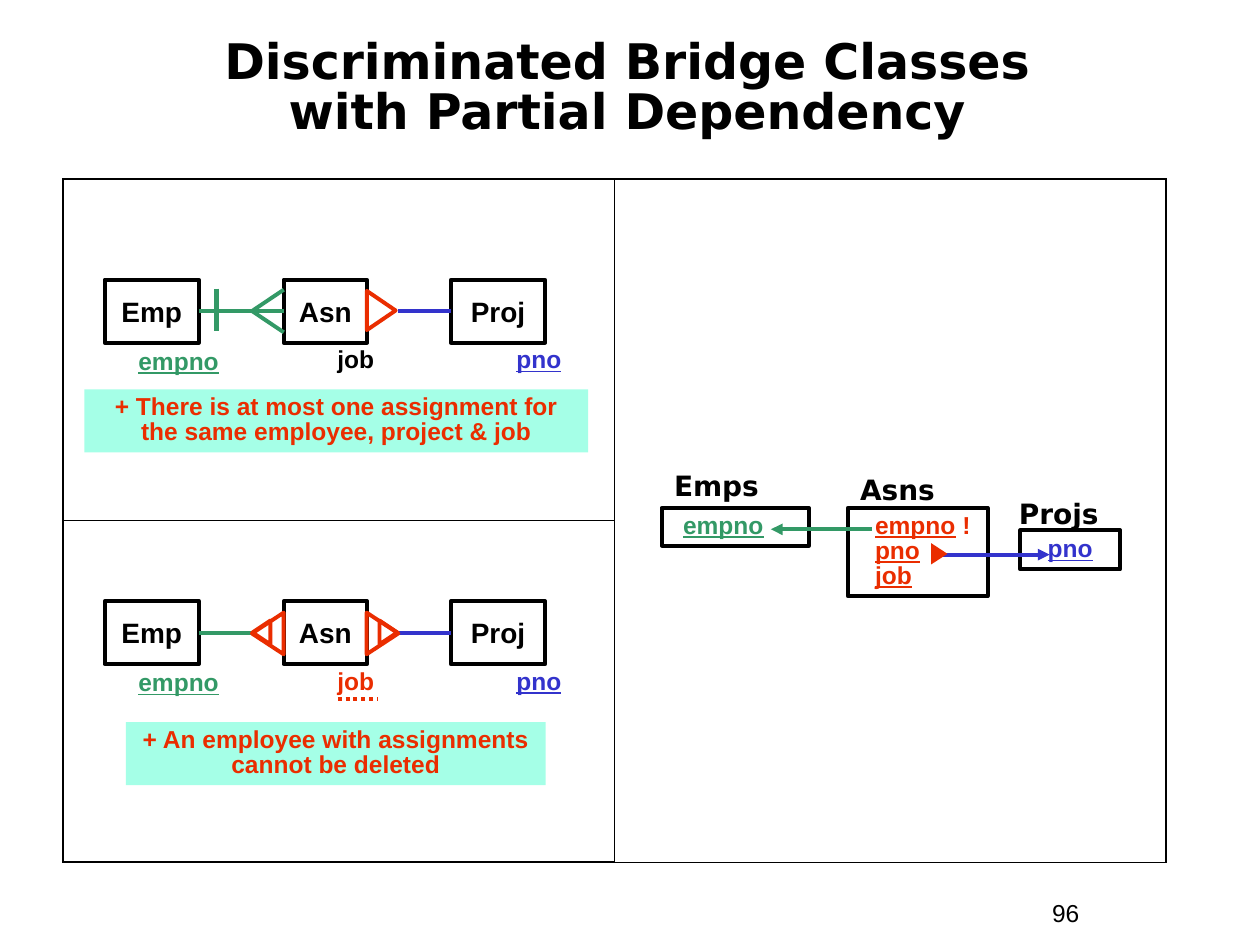
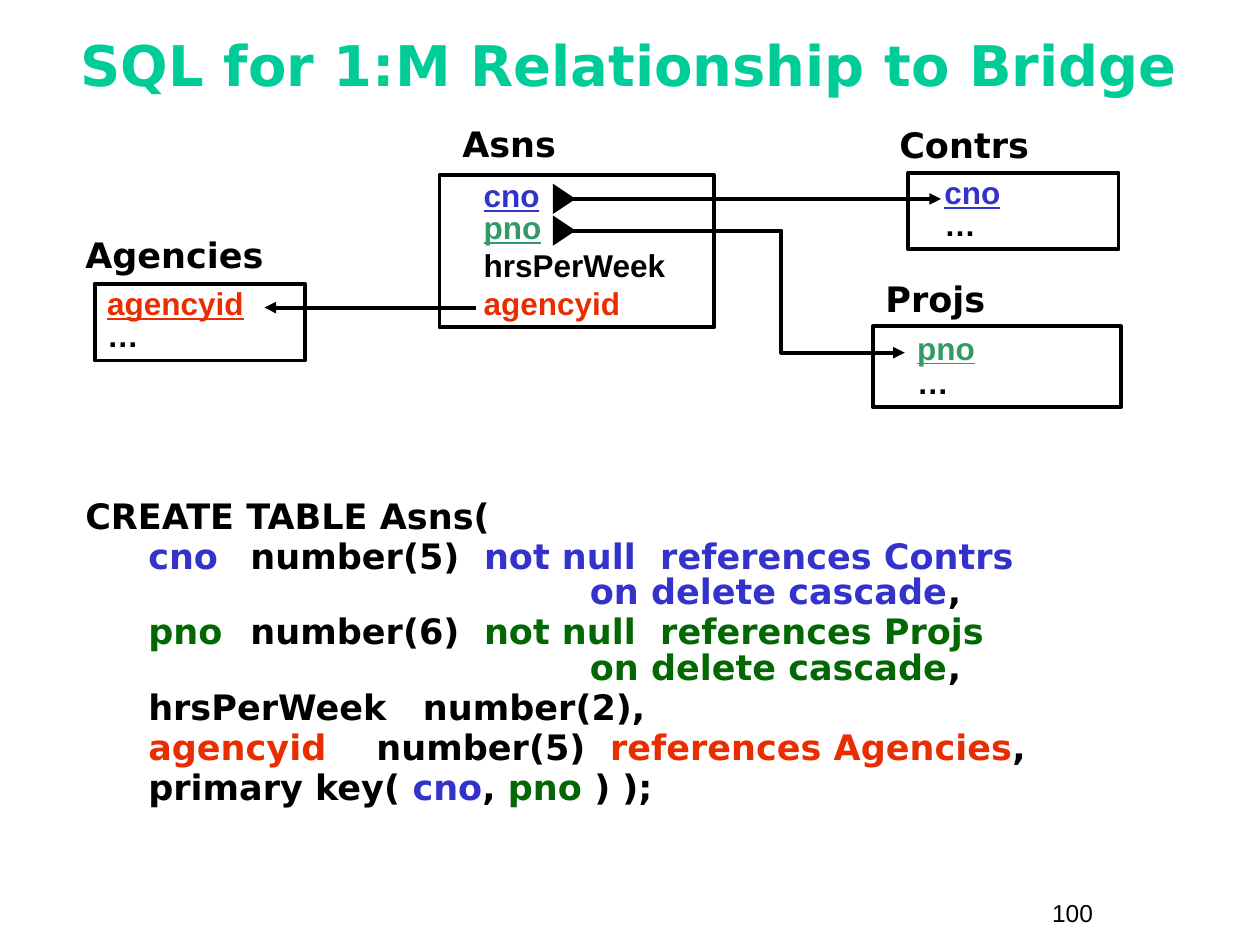
from lxml.etree import SubElement
from pptx import Presentation
from pptx.dml.color import RGBColor
from pptx.enum.dml import MSO_LINE
from pptx.enum.shapes import MSO_CONNECTOR as LINK, MSO_SHAPE as SHAPE
from pptx.enum.text import MSO_ANCHOR as ANCHOR, PP_ALIGN as ALIGN
from pptx.oxml.ns import qn
from pptx.util import Cm, Pt

rgb = RGBColor.from_string
BLACK, RED, GREEN, BLUE = "000000", "EA2D00", "339966", "3333CC"
DARK_GREEN, TEAL, MINT = "036703", "00CC99", "A5FFE7"
SANS, HEAD = "Arial", "DejaVu Sans"


def style(shape, text="", size=14, font=SANS, color=BLACK, bold=True, underline=False,
          align=ALIGN.LEFT, anchor=ANCHOR.TOP, spacing=1.0, before=0, indent=0,
          fill=None, outline=None, wrap=True):
    """Format a shape and its text: a string, or paragraphs of (text, color, underline) runs."""
    shape.shadow.inherit = False
    if fill:
        shape.fill.solid()
        shape.fill.fore_color.rgb = rgb(fill)
    else:
        shape.fill.background()
    if outline:
        shape.line.color.rgb = rgb(outline)
        shape.line.width = Pt(2.25)
    else:
        shape.line.fill.background()
    tf = shape.text_frame
    tf.word_wrap = wrap
    tf.vertical_anchor = anchor
    tf.margin_left, tf.margin_right = Cm(0.25 + indent), Cm(0.25)
    tf.margin_top = tf.margin_bottom = Cm(0.13)
    paragraphs = [[(text, color, underline)]] if isinstance(text, str) else text
    for i, runs in enumerate(paragraphs):
        p = tf.add_paragraph() if i else tf.paragraphs[0]
        p.alignment = align
        p.line_spacing = spacing
        p.space_before = Pt(before if i else 0)
        for run_text, run_color, run_underline in runs:
            for j, part in enumerate(run_text.split("\n")):
                if j:
                    p.add_line_break()
                    SubElement(p._p[-1], qn("a:rPr"), sz=str(size * 100))
                if not part:
                    continue
                r = p.add_run()
                r.text = part
                r.font.name, r.font.size, r.font.bold = font, Pt(size), bold
                r.font.underline = run_underline
                r.font.color.rgb = rgb(run_color)
    return shape


def connect(s, x1, y1, x2, y2, color=BLACK, width=2.25, arrow=False, kind=LINK.STRAIGHT):
    c = s.shapes.add_connector(kind, Cm(x1), Cm(y1), Cm(x2), Cm(y2))
    c.line.color.rgb = rgb(color)
    c.line.width = Pt(width)
    if arrow:
        SubElement(c.line._get_or_add_ln(), qn("a:tailEnd"), type="triangle")
    SubElement(c._element.spPr, qn("a:effectLst"))
    return c


prs = Presentation()
prs.slide_width, prs.slide_height = Cm(25.4), Cm(19.05)

# Titles and page numbers
slides = []
for title, at, size, color, spacing, number in (
    ("Discriminated Bridge Classes\nwith Partial Dependency",
     (0.74, 0.64, 23.8, 2.34), 28, BLACK, 0.85, "96"),
    ("SQL for 1:M Relationship to Bridge", (0.84, 0.23, 23.7, 2.11), 32, TEAL, 1.0, "100"),
):
    s = prs.slides.add_slide(prs.slide_layouts[5])
    t = s.shapes.title
    t.left, t.top, t.width, t.height = map(Cm, at)
    style(t, title, size=size, font=HEAD, color=color, spacing=spacing,
          align=ALIGN.CENTER, anchor=ANCHOR.MIDDLE)
    style(s.shapes.add_textbox(Cm(20.96), Cm(17.98), Cm(2.34), Cm(0.86)), number, bold=False)
    slides.append(s)
bridge, sql = slides

# Frame: two cells on the left, one tall cell on the right
frame = bridge.shapes.add_table(2, 2, Cm(1.27), Cm(3.61), Cm(22.23), Cm(13.77)).table
frame.first_row = frame.horz_banding = False
for row in range(2):
    for col in range(2):
        cell = frame.cell(row, col)
        tcPr = cell._tc.get_or_add_tcPr()
        for side, outer in (("L", col == 0), ("R", col == 1), ("T", row == 0), ("B", row == 1)):
            ln = SubElement(tcPr, qn(f"a:ln{side}"), w=str(Pt(1.08 if outer else 0.45)))
            SubElement(SubElement(ln, qn("a:solidFill")), qn("a:srgbClr"), val=BLACK)
        cell.fill.background()
frame.cell(0, 1).merge(frame.cell(1, 1))

# Emp - Asn - Proj diagrams
for top, asn_end, proj_end, job_color, note, note_x, note_dy, note_w in (
    (5.64, 5.72, 8.03, BLACK,
     "+ There is at most one assignment for the same employee, project & job", 1.7, 2.21, 10.16),
    (12.12, 5.08, 8.05, RED,
     "+ An employee with assignments cannot be deleted", 2.54, 2.44, 8.46),
):
    mid = top + 0.635
    emp, asn, proj = [
        style(bridge.shapes.add_shape(SHAPE.RECTANGLE, Cm(x), Cm(top), Cm(w), Cm(1.27)), name,
              size=16, align=ALIGN.CENTER, anchor=ANCHOR.MIDDLE, outline=BLACK, wrap=False)
        for name, x, w in (("Emp", 2.11, 1.9), ("Asn", 5.72, 1.68), ("Proj", 9.09, 1.9))]
    emp_line = connect(bridge, 4.01, mid, asn_end, mid, GREEN)
    emp_line.begin_connect(emp, 3)
    if asn_end == 5.72:
        emp_line.end_connect(asn, 1)
    connect(bridge, 9.09, mid, proj_end, mid, BLUE).begin_connect(proj, 1)
    for key, x, w, dy, color in (("empno", 2.54, 2.97, 1.27, GREEN),
                                 ("job", 6.55, 1.9, 1.24, job_color),
                                 ("pno", 10.16, 1.9, 1.24, BLUE)):
        style(bridge.shapes.add_textbox(Cm(x), Cm(top + dy), Cm(w), Cm(0.79)), key,
              color=color, underline=key != "job", spacing=0.9)
    style(bridge.shapes.add_shape(SHAPE.RECTANGLE, Cm(note_x), Cm(top + note_dy),
                                  Cm(note_w), Cm(1.27)),
          note, color=RED, align=ALIGN.CENTER, spacing=0.85, fill=MINT)

# Crow's foot, bar and dotted underline
for dy in (-0.43, 0.43):
    connect(bridge, 5.08, 6.27, 5.72, 6.27 + dy, GREEN)
connect(bridge, 4.37, 5.82, 4.37, 6.68, GREEN, width=3)
connect(bridge, 6.81, 14.1, 7.62, 14.1, RED).line.dash_style = MSO_LINE.ROUND_DOT

# Class tables: a name above a box of fields
DOTS = ("…", BLACK, False)
for s, name, name_at, box_at, indent, spacing, fields in (
    (bridge, "Asns", (17.09, 9.4, 3.66, 0.94), (17.09, 10.24, 2.82, 1.78), 0.3, 0.85,
     [[("empno", RED, True), (" !", RED, False)], [("pno", RED, True)], [("job", RED, True)]]),
    (bridge, "Projs", (20.29, 9.88, 2.92, 0.94), (20.57, 10.69, 2.01, 0.79), 0.3, 0.9,
     [[("pno", BLUE, True)]]),
    (bridge, "Emps", (13.34, 9.32, 2.34, 0.94), (13.34, 10.24, 2.97, 0.76), 0.18, 0.85,
     [[("empno", GREEN, True)]]),
    (sql, "Agencies", (1.47, 4.57, 5.46, 1.12), (1.91, 5.72, 4.24, 1.55), 0, 0.85,
     [[("agencyid\n", RED, True), DOTS]]),
    (sql, "Projs", (17.6, 5.46, 5.46, 1.12), (17.6, 6.58, 5, 1.63), 0.64, 0.9,
     [[("pno", GREEN, True)], [DOTS]]),
    (sql, "Contrs", (17.88, 2.36, 5.46, 1.12), (18.31, 3.48, 4.24, 1.55), 0.48, 0.85,
     [[("cno\n", BLUE, True), DOTS]]),
    (sql, "Asns", (9.07, 2.34, 6.38, 1.12), (8.86, 3.53, 5.54, 3.07), 0.64, 0.85,
     [[("cno", BLUE, True)], [("pno", GREEN, True)],
      [("hrsPerWeek\n", BLACK, False), ("agencyid", RED, False)]]),
):
    size = 14 if s is bridge else 18
    style(s.shapes.add_textbox(*map(Cm, name_at)), name, size=size + 2, font=HEAD)
    box = style(s.shapes.add_shape(SHAPE.RECTANGLE, *map(Cm, box_at)), fields, size=size,
                spacing=spacing, indent=indent, outline=BLACK)
    if s is sql and name == "Asns":
        box.text_frame.paragraphs[2].line_spacing = 1.0

# Reference arrows
connect(bridge, 17.58, 10.67, 15.54, 10.67, GREEN, arrow=True)
connect(bridge, 18.9, 11.18, 21.16, 11.18, BLUE, arrow=True)
connect(sql, 9.6, 6.2, 5.33, 6.2, arrow=True)
connect(sql, 11.15, 4.01, 18.97, 4.01, arrow=True)
elbow = connect(sql, 11.15, 4.65, 18.24, 7.11, arrow=True, kind=LINK.ELBOW)
geom = elbow._element.spPr.find(qn("a:prstGeom"))
SubElement(geom.find(qn("a:avLst")), qn("a:gd"), name="adj1", fmla="val 64900")

# Triangles marking the many side
for s, x, y, w, h, turn, fill, outline in (
    (bridge, 7.29, 5.97, 0.79, 0.58, 90, None, RED),
    (bridge, 4.98, 12.45, 0.84, 0.64, 270, None, RED),
    (bridge, 5.03, 12.57, 0.48, 0.36, 270, None, RED),
    (bridge, 7.29, 12.45, 0.84, 0.64, 90, None, RED),
    (bridge, 7.59, 12.57, 0.48, 0.36, 90, None, RED),
    (bridge, 18.72, 11, 0.43, 0.33, 90, RED, None),
    (sql, 11.07, 3.78, 0.61, 0.46, 90, BLACK, None),
    (sql, 11.07, 4.42, 0.61, 0.46, 90, BLACK, None),
):
    triangle = s.shapes.add_shape(SHAPE.ISOSCELES_TRIANGLE, Cm(x), Cm(y), Cm(w), Cm(h))
    style(triangle, fill=fill, outline=outline).rotation = turn

# SQL statement
cascade = "\n" + " " * 33 + "on delete cascade"
statement = [
    [("CREATE TABLE Asns(", BLACK)],
    [("cno\t", BLUE), ("number(5)  ", BLACK),
     ("not null  references Contrs" + cascade, BLUE), (",", BLACK)],
    [("pno\t", DARK_GREEN), ("number(6)  ", BLACK),
     ("not null  references Projs" + cascade, DARK_GREEN), (",", BLACK)],
    [("hrsPerWeek   number(2),", BLACK)],
    [("agencyid\t", RED), ("number(5)  ", BLACK), ("references Agencies", RED), (",", BLACK)],
    [("primary key( ", BLACK), ("cno", BLUE), (", ", BLACK), ("pno", DARK_GREEN),
     (" ) );", BLACK)],
]
code = style(sql.shapes.add_textbox(Cm(1.47), Cm(9.96), Cm(22.02), Cm(6.45)),
             [[(*run, False) for run in runs] for runs in statement],
             size=20, font=HEAD, spacing=0.85, before=2.5)
for p in code.text_frame.paragraphs[1:]:
    pPr = p._p.get_or_add_pPr()
    pPr.set("marL", str(Cm(2.06)))
    pPr.set("indent", str(-Cm(0.79)))
    tabs = SubElement(pPr, qn("a:tabLst"))
    for stop in (1, 2, 3):
        SubElement(tabs, qn("a:tab"), pos=str(Cm(2.54 * stop)), algn="l")

prs.save("out.pptx")
